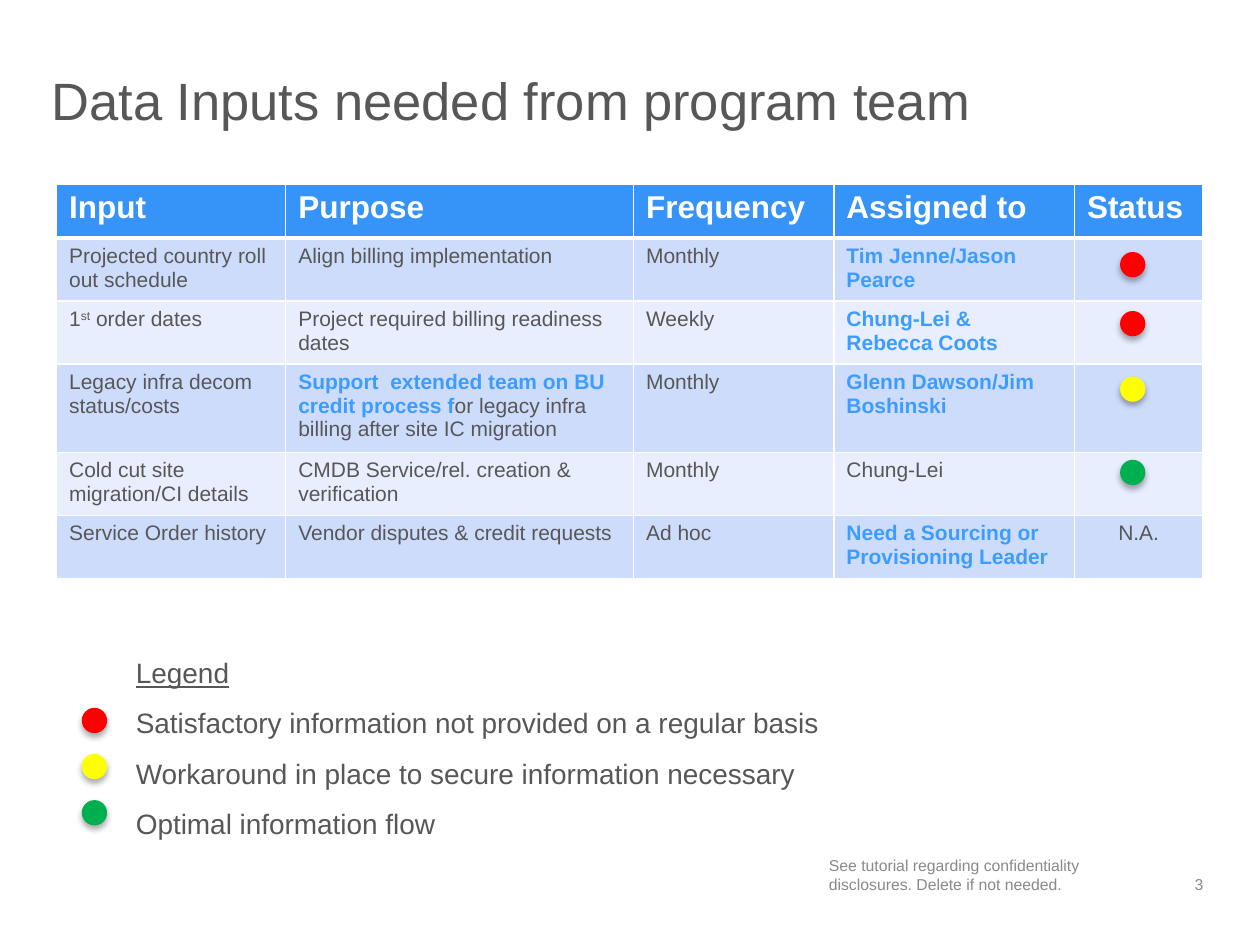
from dataclasses import dataclass

from lxml.etree import SubElement
from pptx import Presentation
from pptx.dml.color import RGBColor as RGB
from pptx.enum.shapes import MSO_SHAPE as Preset
from pptx.enum.text import MSO_ANCHOR as Anchor, PP_ALIGN as Align
from pptx.oxml import parse_xml
from pptx.oxml.ns import nsdecls, qn
from pptx.util import Cm, Pt


@dataclass(frozen=True)
class Theme:
    font: str = "Arial"
    ink: str = "575757"
    accent: str = "3C9DFF"
    muted: str = "898989"
    white: str = "FFFFFF"
    header: str = "3693F8"
    bands: tuple = ("CEDCFC", "E8EEFE")
    red: str = "FF0000"
    yellow: str = "FFFF00"
    green: str = "00B050"
    title_size: int = 30
    header_size: int = 18
    legend_size: int = 16
    body_size: int = 12
    footer_size: int = 9


theme = Theme()


def style(paragraph, size, color, bold=False):
    for run in paragraph.runs:
        run.font.name = theme.font
        run.font.size = Pt(size)
        run.font.bold = bold
        run.font.color.rgb = RGB.from_string(color)


def add_text(left, top, width, height, lines, size, color, spacing=1.0):
    frame = slide.shapes.add_textbox(Cm(left), Cm(top), Cm(width), Cm(height)).text_frame
    frame.margin_left = frame.margin_right = frame.margin_top = frame.margin_bottom = 0
    frame.word_wrap = True
    frame.text = "\n".join(lines)
    for paragraph in frame.paragraphs:
        paragraph.line_spacing = spacing
        style(paragraph, size, color)
    return frame


prs = Presentation()
prs.slide_width, prs.slide_height = Cm(25.4), Cm(19.05)
slide = prs.slides.add_slide(prs.slide_layouts[6])

disclosure = add_text(16.71, 17.25, 5.92, 0.76,
                      ["See tutorial regarding confidentiality disclosures. Delete if not needed."],
                      theme.footer_size, theme.muted)
disclosure.vertical_anchor = Anchor.BOTTOM
add_text(1.04, 1.52, 23.19, 2.84, ["Data Inputs needed from program team"],
         theme.title_size, theme.ink, 0.9)
page_number = add_text(23.5, 17.63, 0.76, 0.38, ["3"], theme.footer_size, theme.muted)
page_number.paragraphs[0].alignment = Align.RIGHT

inputs = [
    ["Input", "Purpose", "Frequency", "Assigned to", "Status"],
    ["Projected country roll out schedule", "Align billing implementation", "Monthly",
     "Tim Jenne/Jason Pearce", ""],
    [["1", "st", " order dates"], "Project required billing readiness dates", "Weekly",
     "Chung-Lei & Rebecca Coots", ""],
    ["Legacy infra decom status/costs",
     ["Support  extended team on BU credit process f",
      "or legacy infra billing after site IC migration"],
     "Monthly", "Glenn Dawson/Jim Boshinski", ""],
    ["Cold cut site migration/CI details", "CMDB Service/rel. creation & verification",
     "Monthly", "Chung-Lei", ""],
    ["Service Order history", "Vendor disputes & credit requests", "Ad hoc",
     "Need a Sourcing or Provisioning Leader", "N.A."],
]
column_widths = [4.62, 7.01, 4.04, 4.85, 2.59]
row_height = 1.09
table = slide.shapes.add_table(len(inputs), len(column_widths), Cm(1.14), Cm(3.71),
                               Cm(sum(column_widths)), Cm(row_height * len(inputs))).table
for column, width in zip(table.columns, column_widths):
    column.width = Cm(width)

for r, row in enumerate(inputs):
    table.rows[r].height = Cm(row_height)
    for c, content in enumerate(row):
        cell = table.cell(r, c)
        paragraph = cell.text_frame.paragraphs[0]
        if isinstance(content, list):
            for part in content:
                paragraph.add_run().text = part
        else:
            paragraph.text = content
        if r == 0:
            style(paragraph, theme.header_size, theme.white, True)
        elif c == 3 and content != "Chung-Lei":
            style(paragraph, theme.body_size, theme.accent, True)
        else:
            style(paragraph, theme.body_size, theme.ink)
        properties = cell._tc.get_or_add_tcPr()
        for side in "LRTB":
            heavy = (r, side) in ((0, "B"), (1, "T"))
            border = SubElement(properties, qn(f"a:ln{side}"), w=str(Pt(3 if heavy else 1)))
            SubElement(SubElement(border, qn("a:solidFill")), qn("a:srgbClr"), val=theme.white)
        cell.fill.solid()
        cell.fill.fore_color.rgb = RGB.from_string(theme.bands[(r - 1) % 2] if r else theme.header)

order_number = table.cell(2, 0).text_frame.paragraphs[0].runs
order_number[1].font._element.set("baseline", "30000")
support = table.cell(3, 1).text_frame.paragraphs[0].runs[0].font
support.bold = True
support.color.rgb = RGB.from_string(theme.accent)
table.cell(5, 4).text_frame.paragraphs[0].alignment = Align.CENTER

levels = [theme.red, theme.yellow, theme.green]
lights = [(22.58, top, color) for top, color in
          zip([5.08, 6.27, 7.59, 9.27], [theme.red, *levels])]
lights += [(1.65, 14.27 + 0.93 * i, color) for i, color in enumerate(levels)]
for left, top, color in lights:
    light = slide.shapes.add_shape(Preset.OVAL, Cm(left), Cm(top), Cm(0.51), Cm(0.51))
    light.fill.solid()
    light.fill.fore_color.rgb = RGB.from_string(color)
    light.line.fill.background()
    light.shadow.inherit = False
    effects = light._element.spPr.find(qn("a:effectLst"))
    effects.append(parse_xml(
        f'<a:outerShdw {nsdecls("a")} blurRad="{Pt(3.5)}" dist="{Pt(2.2)}" dir="5400000" '
        'rotWithShape="0"><a:srgbClr val="000000"><a:alpha val="32000"/></a:srgbClr></a:outerShdw>'))

legend = add_text(2.74, 12.88, 13.79, 4.11,
                  ["Legend", "Satisfactory information not provided on a regular basis",
                   "Workaround in place to secure information necessary", "Optimal information flow"],
                  theme.legend_size, theme.ink, 1.5)
legend.word_wrap = False
legend.paragraphs[0].runs[0].font.underline = True

prs.save("out.pptx")
